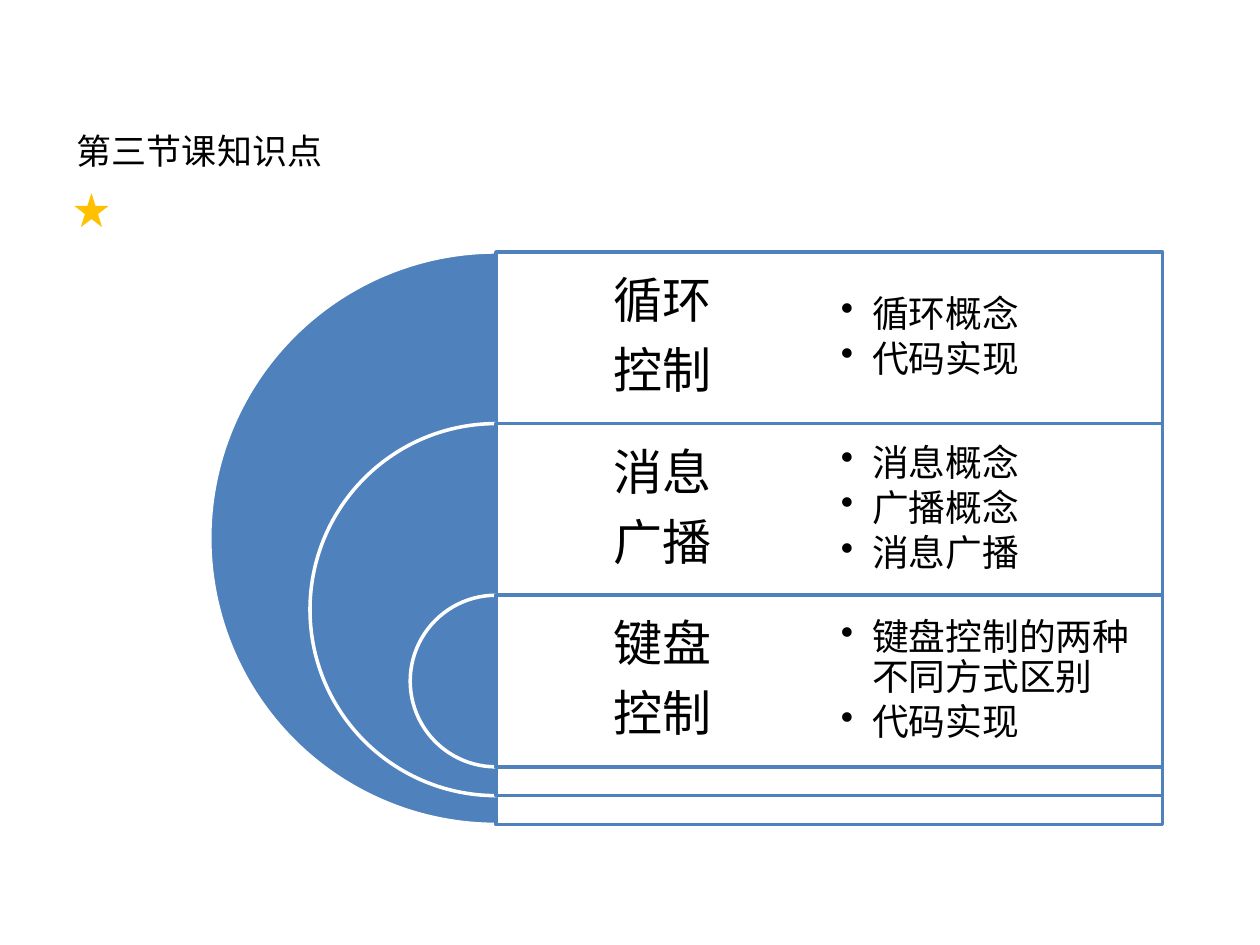
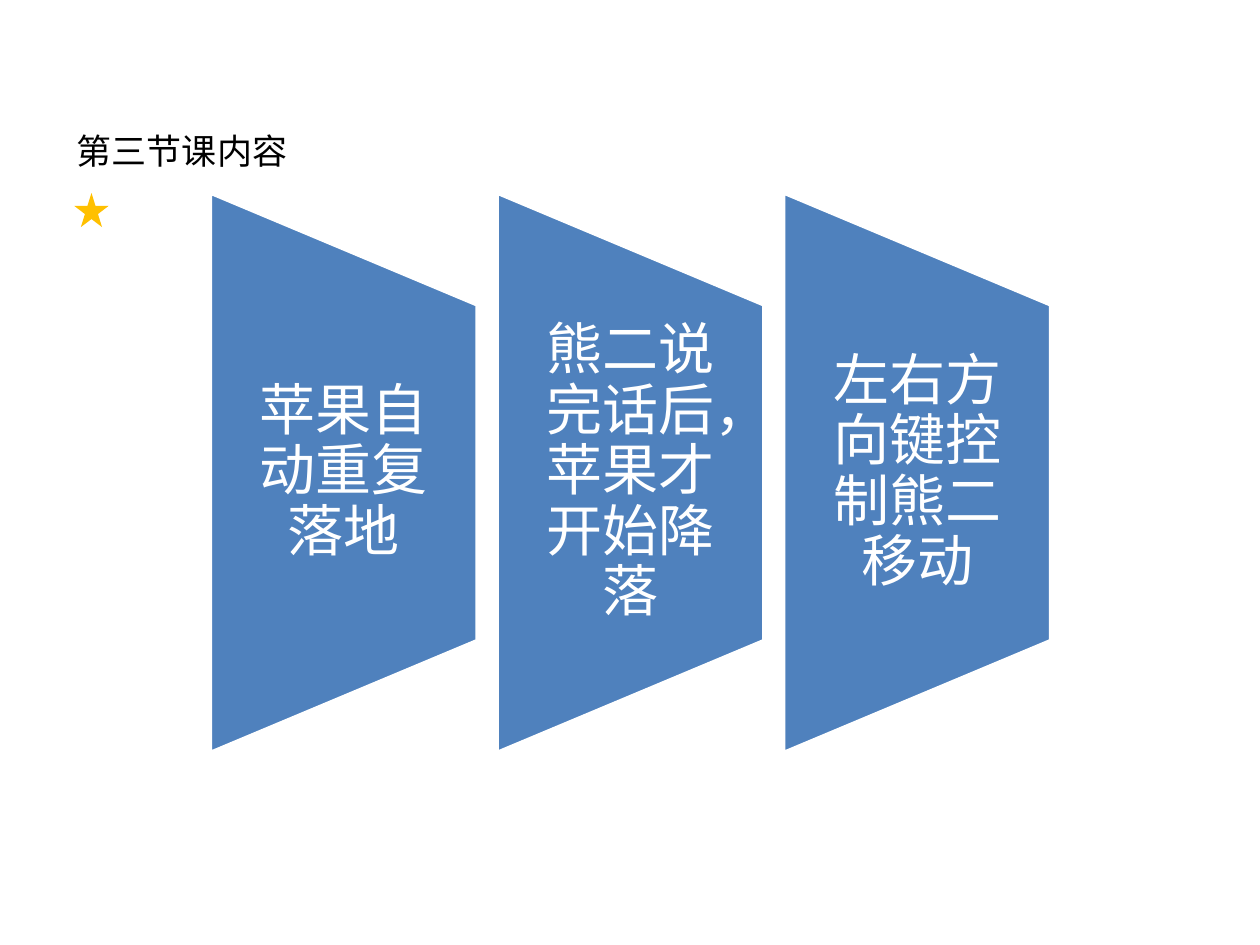
from lxml import etree
from pptx import Presentation
from pptx import util as u
from pptx.dml.color import RGBColor
from pptx.enum import shapes, text
from pptx.oxml.ns import qn

BLUE, GOLD, WHITE, BLACK = "4F81BD", "FFC000", "FFFFFF", "000000"
CJK, LATIN = "Noto Sans CJK SC", "Calibri"
KIND = shapes.MSO_SHAPE

TITLE = {"size": 20, "name": CJK, "color": BLACK}
HEADING = {"size": 28, "name": LATIN, "color": BLACK}
BULLET = {"size": 21, "name": LATIN, "color": BLACK}
PANEL = {"size": 32, "name": LATIN, "color": WHITE}
CENTRED = {"alignment": text.PP_ALIGN.CENTER, "line_spacing": 0.9}
LISTED = {"line_spacing": 0.9}

TOPICS = [
    (["循环", "控制"], ["循环概念", "代码实现"]),
    (["消息", "广播"], ["消息概念", "广播概念", "消息广播"]),
    (["键盘", "控制"], ["键盘控制的两种不同方式区别", "代码实现"]),
]
TASKS = ["苹果自动重复落地", "熊二说完话后，苹果才开始降落", "左右方向键控制熊二移动"]


def paint(target, color):
    if hasattr(target, "solid"):
        target.solid()
        target = target.fore_color
    target.rgb = RGBColor.from_string(color)


def set_values(target, values):
    for name, value in values.items():
        setattr(target, name, value)


def add_shape(parent, kind, place, fill, line=None):
    shape = parent.add_shape(kind, *map(u.Cm, place))
    shape.shadow.inherit = False
    paint(shape.fill, fill)
    if line:
        paint(shape.line.fill, line)
        shape.line.width = u.Pt(2)
    else:
        shape.line.fill.background()
    return shape


def add_text(parent, place, lines, font, para_format=None, after=0, insets=None, **frame_format):
    box = parent.add_textbox(*map(u.Cm, place))
    frame = box.text_frame
    set_values(frame, {"word_wrap": True, **frame_format})
    if insets:
        for side, inset in zip(("left", "top", "right", "bottom"), insets):
            setattr(frame, f"margin_{side}", u.Cm(inset))
    for number, line in enumerate(lines):
        para = frame.paragraphs[0] if number == 0 else frame.add_paragraph()
        set_values(para, para_format or {})
        if after:
            para.space_after = u.Pt(round(font["size"] * after, 2))
        span = para.add_run()
        span.text = line
        set_values(span.font, {"size": u.Pt(font["size"]), "name": font["name"]})
        paint(span.font.color, font["color"])
    return box


def add_bullets(box):
    indent = u.Cm(0.63)
    for para in box.text_frame.paragraphs:
        properties = para._p.get_or_add_pPr()
        properties.set("marL", str(indent))
        properties.set("indent", str(-indent))
        etree.SubElement(properties, qn("a:buChar"), char="•")


def set_opacity(shape, percent):
    color = shape._element.spPr.find(qn("a:solidFill"))[0]
    etree.SubElement(color, qn("a:alpha"), val=str(percent * 1000))


def add_page(deck, title, title_width):
    page = deck.slides.add_slide(deck.slide_layouts[6])
    add_text(page.shapes, (1.3, 2.49, title_width, 1.12), [title], TITLE,
             word_wrap=False, auto_size=text.MSO_AUTO_SIZE.SHAPE_TO_FIT_TEXT)
    add_shape(page.shapes, KIND.STAR_5_POINT, (1.5, 3.89, 0.69, 0.69), GOLD)
    return page


def add_nested_topics(page):
    axis, first_top, row_height, rim = 10, 5.08, 3.46, 0.58
    column = 6.72
    group = page.shapes.add_group_shape().shapes
    for row, (heading, points) in enumerate(TOPICS):
        rows_left = len(TOPICS) - row
        top = first_top + row * row_height
        size = rows_left * row_height + (rows_left - 1) * rim
        half_disc = add_shape(group, KIND.PIE, (axis - size / 2, top, size, size), BLUE, WHITE)
        half_disc.adjustments[0], half_disc.adjustments[1] = 54, 162
        panel = add_shape(group, KIND.RECTANGLE, (axis, top, 2 * column, size), WHITE, BLUE)
        set_opacity(panel, 90)
        add_text(group, (axis, top, column, row_height), heading, HEADING, CENTRED,
                 0.35, [0.3] * 4, vertical_anchor=text.MSO_ANCHOR.MIDDLE)
        listing = add_text(group, (axis + column, top, column, row_height), points, BULLET,
                           LISTED, 0.15, [0.23] * 4, vertical_anchor=text.MSO_ANCHOR.MIDDLE)
        add_bullets(listing)


def add_task_panels(page):
    width, height, step = 5.38, 11.28, 5.78
    first_left, middle, text_height = 4.24, 9.53, 6.78
    group = page.shapes.add_group_shape().shapes
    for number, task in enumerate(TASKS):
        left = first_left + number * step
        turned = (left + (width - height) / 2, middle - width / 2, height, width)
        panel = add_shape(group, KIND.FLOWCHART_MANUAL_OPERATION, turned, BLUE, WHITE)
        panel.rotation = 270
        add_text(group, (left, middle - text_height / 2, width, text_height), [task], PANEL,
                 CENTRED, 0.35, (0.56, 0, 0.56, 0), vertical_anchor=text.MSO_ANCHOR.MIDDLE)


def main():
    deck = Presentation()
    set_values(deck, {"slide_width": u.Cm(25.4), "slide_height": u.Cm(19.05)})
    add_nested_topics(add_page(deck, "第三节课知识点", 5.51))
    add_task_panels(add_page(deck, "第三节课内容", 4.78))
    deck.save("out.pptx")


if __name__ == "__main__":
    main()
